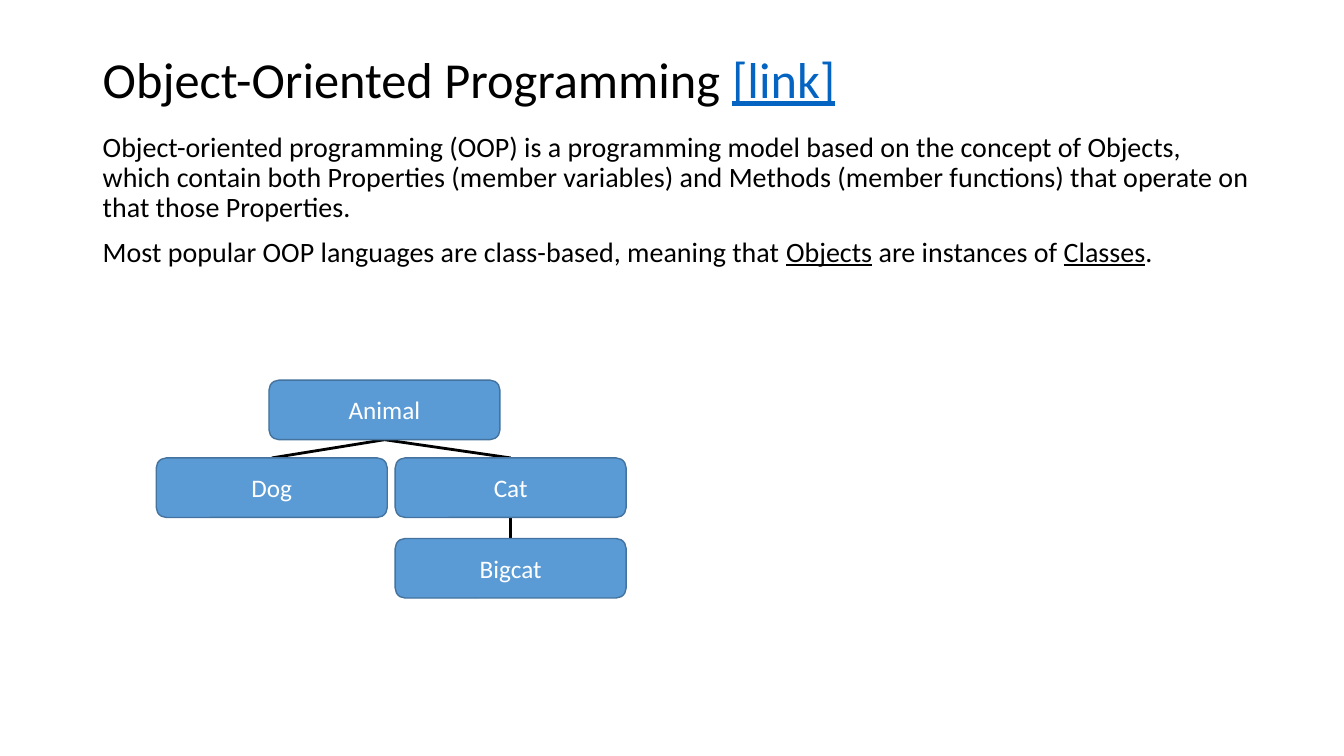
from lxml.etree import SubElement
from pptx import Presentation
from pptx.dml.color import RGBColor as RGB
from pptx.enum.shapes import MSO_CONNECTOR as LINK, MSO_SHAPE as SHAPE
from pptx.enum.text import MSO_ANCHOR as ANCHOR, PP_ALIGN as ALIGN
from pptx.oxml.ns import qn
from pptx.util import Cm, Pt

COLORS = {
    "text": "000000",
    "link": "0563C1",
    "node": "5B9BD5",
    "edge": "43739E",
    "label": "FFFFFF",
}
FONT = "Calibri"
TITLE = [("Object-Oriented Programming ", False), ("[link]", True)]
BODY = [
    [("Object-oriented programming (OOP) is a programming model based on the "
      "concept of Objects, which contain both Properties (member variables) and "
      "Methods (member functions) that operate on that those Properties.", False)],
    [("Most popular OOP languages are class-based, meaning that ", False),
     ("Objects", True), (" are instances of ", False), ("Classes", True),
     (".", False)],
]
NODES = {
    "Animal": (2.84, 0),
    "Dog": (0, 1.96),
    "Cat": (6.02, 1.96),
    "Bigcat": (6.02, 3.99),
}
LINKS = [("Animal", "Dog"), ("Animal", "Cat"), ("Cat", "Bigcat")]


def tint(name):
    return RGB.from_string(COLORS[name])


def style(para, size, color):
    para.font.name = FONT
    para.font.size = Pt(size)
    para.font.color.rgb = tint(color)


def add_text(slide, box, paras, size, anchor):
    frame = slide.shapes.add_textbox(*map(Cm, box)).text_frame
    frame.word_wrap = True
    frame.vertical_anchor = anchor
    for i, parts in enumerate(paras):
        para = frame.add_paragraph() if i else frame.paragraphs[0]
        para.line_spacing = 0.9
        if i:
            para.space_before = Pt(10)
        style(para, size, "text")
        for words, under in parts:
            run = para.add_run()
            run.text = words
            if under:
                run.font.underline = True
    return frame


def add_title(slide, box):
    frame = add_text(slide, box, [TITLE], 36, ANCHOR.MIDDLE)
    frame.paragraphs[0].runs[-1].font.color.rgb = tint("link")


def add_body(slide, box):
    add_text(slide, box, BODY, 20, ANCHOR.TOP)


def add_link(slide):
    line = slide.shapes.add_connector(LINK.STRAIGHT, 0, 0, 0, 0)
    line.line.color.rgb = tint("text")
    line.line.width = Pt(2)
    SubElement(line._element.spPr, qn("a:effectLst"))
    return line


def add_node(slide, box, label):
    node = slide.shapes.add_shape(SHAPE.ROUNDED_RECTANGLE, *map(Cm, box))
    node.shadow.inherit = False
    node.fill.solid()
    node.fill.fore_color.rgb = tint("node")
    node.line.color.rgb = tint("edge")
    node.line.width = Pt(1)
    frame = node.text_frame
    frame.vertical_anchor = ANCHOR.MIDDLE
    frame.text = label
    para = frame.paragraphs[0]
    para.alignment = ALIGN.CENTER
    style(para, 18, "label")
    return node


def add_tree(slide, box):
    left, top, width, height = box
    wide, high = width - 6.02, height - 3.99
    lines = [add_link(slide) for _ in LINKS]
    nodes = {
        name: add_node(slide, (left + x, top + y, wide, high), name)
        for name, (x, y) in NODES.items()
    }
    for line, (parent, child) in zip(lines, LINKS):
        line.begin_connect(nodes[parent], 2)
        line.end_connect(nodes[child], 0)


def main():
    deck = Presentation()
    deck.slide_width, deck.slide_height = Cm(33.87), Cm(19.05)
    slide = deck.slides.add_slide(deck.slide_layouts[6])
    add_title(slide, (2.34, 1.02, 29.21, 2.11))
    add_body(slide, (2.34, 3.23, 29.51, 4.47))
    add_tree(slide, (3.94, 9.58, 11.84, 5.49))
    deck.save("out.pptx")


if __name__ == "__main__":
    main()
